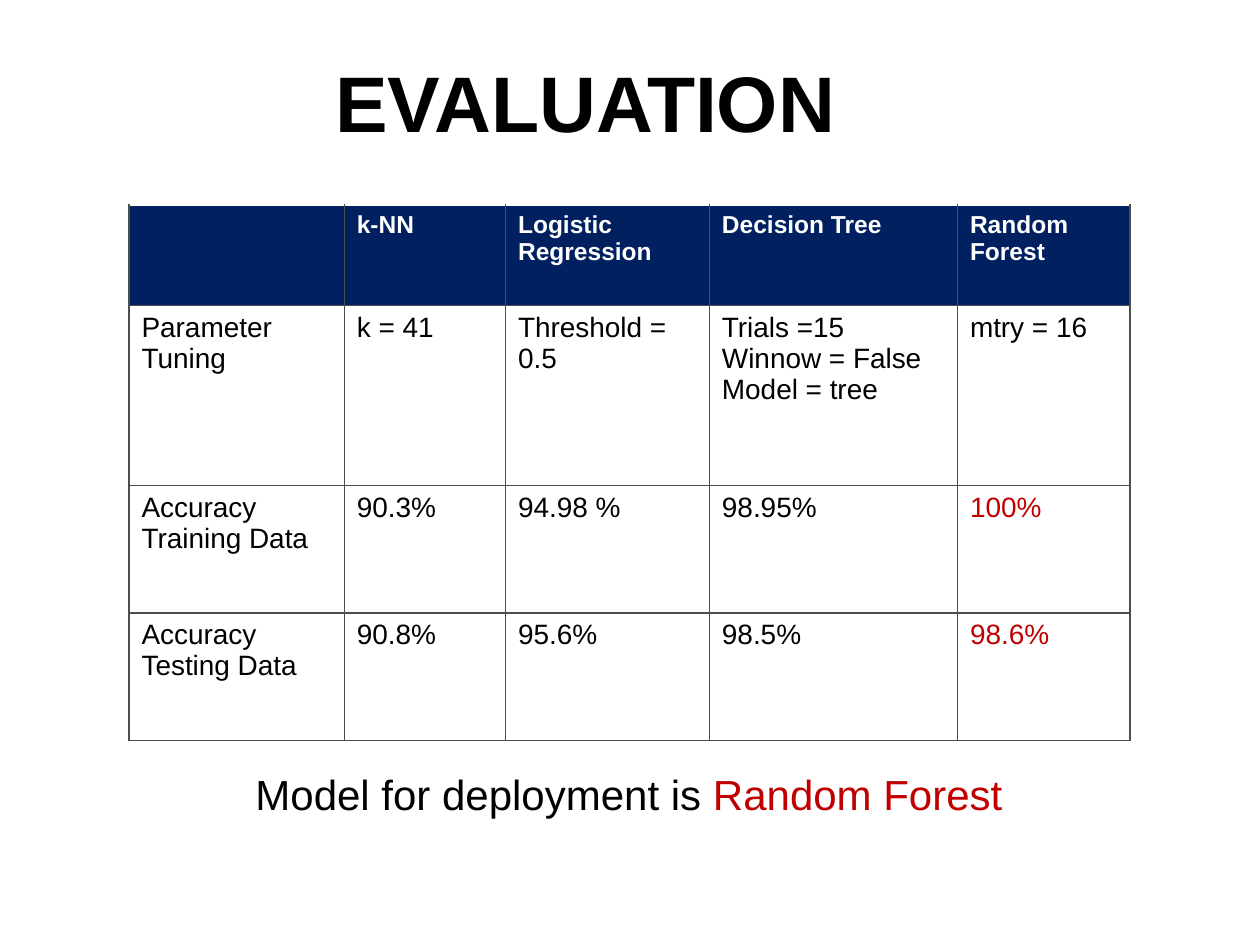
from lxml import etree
from pptx import Presentation
from pptx.dml.color import RGBColor
from pptx.enum.text import MSO_ANCHOR, PP_ALIGN
from pptx.oxml.ns import qn
from pptx.util import Cm, Pt

LEFT = PP_ALIGN.LEFT
MIDDLE = MSO_ANCHOR.MIDDLE
TITLE_ONLY = 5

BLACK = RGBColor(0x00, 0x00, 0x00)
WHITE = RGBColor(0xFF, 0xFF, 0xFF)
NAVY = RGBColor(0x00, 0x20, 0x60)
RED = RGBColor(0xC0, 0x00, 0x00)
GRAY = RGBColor(0x4D, 0x4D, 0x4D)

COLUMN_WIDTHS = [4.34, 3.25, 4.11, 5.0, 3.48]
ROW_HEIGHTS = [2.03, 3.63, 2.57, 2.57]
ROWS = [
    ["", "k-NN", "Logistic Regression", "Decision Tree", "Random Forest"],
    ["Parameter Tuning", "k = 41", "Threshold = 0.5",
     "Trials =15\nWinnow = False\nModel = tree", "mtry = 16"],
    ["Accuracy Training Data", "90.3%", "94.98 %", "98.95%", "100%"],
    ["Accuracy Testing Data", "90.8%", "95.6%", "98.5%", "98.6%"],
]


def add_text(paragraph, text, size, color=BLACK, bold=False):
    paragraph.alignment = LEFT
    run = paragraph.add_run()
    run.text = text
    run.font.name = "Arial"
    run.font.size = Pt(size)
    run.font.bold = bold
    run.font.color.rgb = color


def set_borders(cell, sides):
    """Draw 1 pt gray lines on the sides, given in the order L, R, T, B."""
    properties = cell._tc.get_or_add_tcPr()
    for index, side in enumerate(sides):
        line = etree.Element(qn(f"a:ln{side}"), w=str(Pt(1)))
        fill = etree.SubElement(line, qn("a:solidFill"))
        etree.SubElement(fill, qn("a:srgbClr"), val=str(GRAY))
        properties.insert(index, line)


presentation = Presentation()
presentation.slide_width = Cm(25.4)
presentation.slide_height = Cm(19.05)
slide = presentation.slides.add_slide(presentation.slide_layouts[TITLE_ONLY])

title = slide.shapes.title
title.left, title.top, title.width, title.height = Cm(6.5), Cm(1.32), Cm(20.8), Cm(1.42)
title.text_frame.vertical_anchor = MIDDLE
add_text(title.text_frame.paragraphs[0], "EVALUATION", size=45, bold=True)

table = slide.shapes.add_table(
    len(ROWS), len(COLUMN_WIDTHS), Cm(2.6), Cm(4.13),
    Cm(sum(COLUMN_WIDTHS)), Cm(sum(ROW_HEIGHTS))).table
for column, width in zip(table.columns, COLUMN_WIDTHS):
    column.width = Cm(width)
for row, height in zip(table.rows, ROW_HEIGHTS):
    row.height = Cm(height)

last_column = len(COLUMN_WIDTHS) - 1
for row_index, texts in enumerate(ROWS):
    header = row_index == 0
    for column_index, text in enumerate(texts):
        cell = table.cell(row_index, column_index)
        cell.fill.solid()
        cell.fill.fore_color.rgb = NAVY if header else WHITE
        set_borders(cell, "LRB" if header else "LRTB")
        if header:
            color = WHITE
        elif row_index >= 2 and column_index == last_column:
            color = RED
        else:
            color = BLACK
        for line_index, line in enumerate(text.splitlines()):
            frame = cell.text_frame
            paragraph = frame.add_paragraph() if line_index else frame.paragraphs[0]
            add_text(paragraph, line, size=14 if header else 16, color=color, bold=header)

conclusion = slide.shapes.add_textbox(Cm(4.9), Cm(15.37), Cm(18.49), Cm(1.27))
conclusion.text_frame.word_wrap = True
paragraph = conclusion.text_frame.paragraphs[0]
add_text(paragraph, "Model for deployment is ", size=24)
add_text(paragraph, "Random Forest", size=24, color=RED)

presentation.save("out.pptx")
